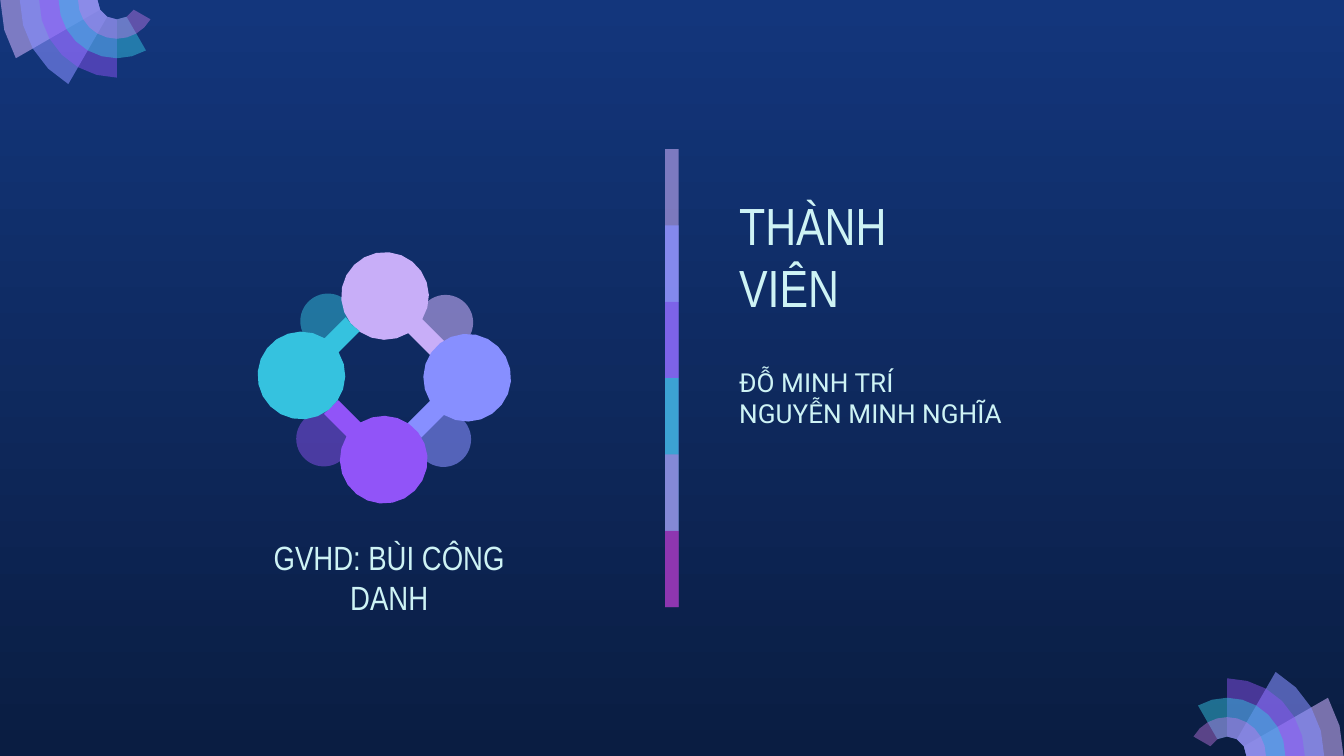
import math

import pptx
import pptx.dml.color
import pptx.enum.shapes
import pptx.enum.text
import pptx.oxml
import pptx.oxml.ns
import pptx.util

Pt = pptx.util.Pt
RGB = pptx.dml.color.RGBColor.from_string
MSO = pptx.enum.shapes.MSO_SHAPE
ANCHOR = pptx.enum.text.MSO_ANCHOR
ALIGN = pptx.enum.text.PP_ALIGN

COLORS = {
    "top": "13367C", "bottom": "0A1D42", "text": "CEF3F5",
    "lilac": "C8AEF8", "blue": "878FFF", "purple": "9154F8",
    "cyan": "35C2DF", "orchid": "CA7BEB", "magenta": "972CB4",
}


def paint(sp, color, alpha=100):
    """Give a shape a flat fill, alpha in percent, with no line or shadow."""
    sp.shadow.inherit = False
    sp.line.fill.background()
    sp.fill.solid()
    sp.fill.fore_color.rgb = RGB(COLORS[color])
    if alpha < 100:
        clr = sp._element.spPr.find(".//" + pptx.oxml.ns.qn("a:srgbClr"))
        clr.append(pptx.oxml.parse_xml(
            f'<a:alpha {pptx.oxml.ns.nsdecls("a")} val="{alpha * 1000}"/>'))


def polygon(polar, cx, cy):
    """Draw a closed outline from (radius, degrees) points around a centre."""
    pts = [(Pt(cx + r * math.cos(math.radians(a))),
            Pt(cy + r * math.sin(math.radians(a)))) for r, a in polar]
    fb = s.shapes.build_freeform(*pts[0])
    fb.add_line_segments(pts[1:])
    return fb.convert_to_shape()


prs = pptx.Presentation()
prs.slide_width, prs.slide_height = Pt(720), Pt(405)
s = prs.slides.add_slide(prs.slide_layouts[1])

bg = s.background.fill
bg.gradient()
bg.gradient_angle = 270
for stop, name in zip(bg.gradient_stops, ("top", "bottom")):
    stop.color.rgb = RGB(COLORS[name])

# Divider: each bar reaches under the next one, the last is half as long
bars = [("lilac", 59), ("blue", 74), ("purple", 53),
        ("cyan", 76), ("orchid", 56), ("magenta", 74)]
step = 40.9
for i, (color, alpha) in enumerate(bars):
    height = step if i == len(bars) - 1 else 2 * step
    sp = s.shapes.add_shape(MSO.RECTANGLE, Pt(356.4), Pt(79.9 + i * step),
                            Pt(7.2), Pt(height))
    paint(sp, color, alpha)

# Small translucent discs behind the ring
disc = 29.6
for cx, cy, color, alpha in [(175.7, 172.1, "cyan", 49), (238.7, 172.8, "lilac", 59),
                             (237.6, 235.4, "blue", 58), (173.5, 235.1, "purple", 46)]:
    sp = s.shapes.add_shape(MSO.OVAL, Pt(cx - disc / 2), Pt(cy - disc / 2),
                            Pt(disc), Pt(disc))
    paint(sp, color, alpha)

# Ring of big discs, each with an arm; the last arm is notched to fit its neighbour
radius, half_arm, sides = 23.5, 5.3, 20
joint = math.degrees(math.asin(half_arm / radius))
turn_step = (360 - 2 * joint) / sides
for cx, cy, color, angle, reach, notch in [
        (206.3, 158.6, "lilac", 45, 40, 0), (250.3, 202.4, "blue", 135, 40, 0),
        (205.6, 246.3, "purple", 225, 40, 0), (161.5, 201.2, "cyan", 315, 38.9, 0.6)]:
    tip = math.degrees(math.atan(half_arm / reach))
    corner = math.hypot(reach, half_arm)
    outline = [(radius, angle + joint + k * turn_step) for k in range(sides + 1)]
    outline += [(corner, angle - tip), (reach - notch, angle), (corner, angle + tip)]
    paint(polygon(outline, cx, cy), color)

# Corner fans: every ring is narrower than the last and sweeps 30 degrees more
rings = [("lilac", 58), ("blue", 58), ("purple", 46), ("cyan", 49), ("orchid", 42)]
hub = 10.4
for cx, cy, turn in [(657.4, 405, 0), (62.6, 0, 180)]:
    for i, (color, alpha) in enumerate(rings):
        sweep = 30 * (i + 1)
        outline = [(hub * (6 - i), turn - a) for a in range(0, sweep + 1, 15)]
        outline += [(hub, turn - a) for a in range(sweep, -1, -30)]
        paint(polygon(outline, cx, cy), color, alpha)

title, members = s.shapes.title, s.placeholders[1]
advisor = s.shapes.add_textbox(0, 0, 0, 0)
texts = [
    (title, (388.8, 101.5, 149.8, 76.3), ["THÀNH VIÊN"], "Arial Narrow", 28,
     ALIGN.LEFT, {"vertical_anchor": ANCHOR.BOTTOM}),
    (members, (388.8, 172.1, 268.6, 141.8), ["ĐỖ MINH TRÍ", "NGUYỄN MINH NGHĨA"],
     "Roboto", 14, ALIGN.LEFT, {"vertical_anchor": ANCHOR.TOP, "margin_top": Pt(24)}),
    (advisor, (117.4, 293.8, 182.2, 31), ["GVHD: BÙI CÔNG DANH"], "Arial Narrow", 18,
     ALIGN.CENTER, {"vertical_anchor": ANCHOR.MIDDLE}),
]
for sp, box, lines, font, size, align, extra in texts:
    sp.left, sp.top, sp.width, sp.height = map(Pt, box)
    tf = sp.text_frame
    frame = {"word_wrap": True, "auto_size": pptx.enum.text.MSO_AUTO_SIZE.NONE}
    frame.update({f"margin_{side}": Pt(7.2) for side in ("left", "top", "right", "bottom")})
    frame.update(extra)
    for key, value in frame.items():
        setattr(tf, key, value)
    for i, line in enumerate(lines):
        p = tf.paragraphs[0] if i == 0 else tf.add_paragraph()
        for key, value in {"alignment": align, "line_spacing": 1.0,
                           "space_before": Pt(0), "space_after": Pt(0)}.items():
            setattr(p, key, value)
        if sp is members:
            pPr = p._p.get_or_add_pPr()
            pPr.set("marL", "0")
            pPr.set("indent", "0")
            pPr.append(pptx.oxml.parse_xml(f'<a:buNone {pptx.oxml.ns.nsdecls("a")}/>'))
        r = p.add_run()
        r.text = line
        r.font.name, r.font.size = font, Pt(size)
        r.font.color.rgb = RGB(COLORS["text"])

prs.save("out.pptx")
